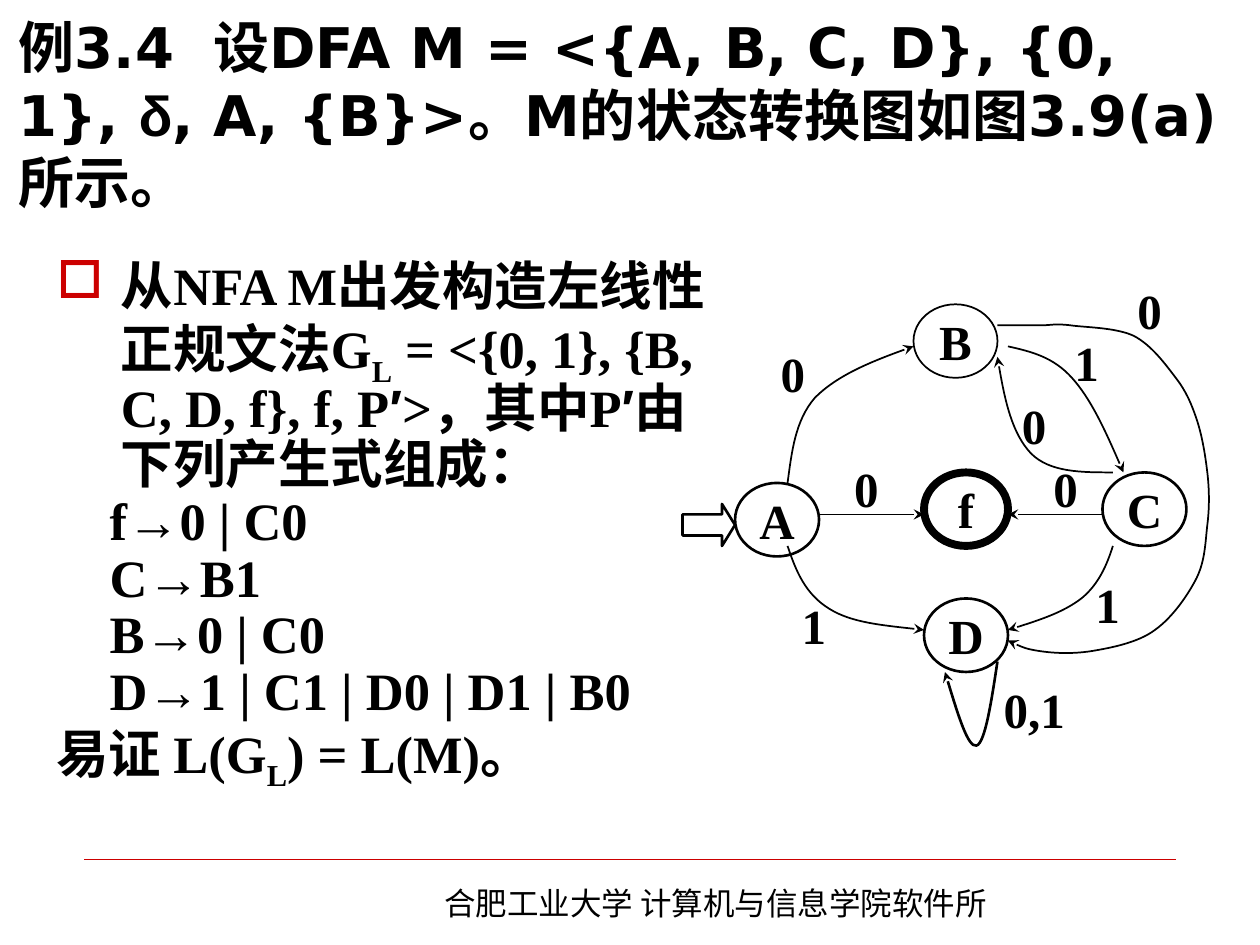
from dataclasses import dataclass

import lxml.etree
import pptx
import pptx.dml.color
import pptx.enum.shapes
import pptx.enum.text
import pptx.oxml
import pptx.oxml.ns
import pptx.util

Cm = pptx.util.Cm
Pt = pptx.util.Pt
qn = pptx.oxml.ns.qn
ShapeType = pptx.enum.shapes.MSO_SHAPE
Anchor = pptx.enum.text.MSO_ANCHOR


@dataclass(frozen=True)
class Theme:
    ink: str = "000000"
    accent: str = "CC0000"
    serif: str = "Times New Roman"
    sans: str = "DejaVu Sans"
    symbol: str = "Arial"
    chinese: str = "Noto Sans CJK SC"
    title_size: int = 32
    body_size: int = 30
    diagram_size: int = 28
    footer_size: int = 18


THEME = Theme()

STATES = [("A", 5, 20, 1.5), ("B", 22, 3, 1), ("C", 40, 19, 1.5),
          ("D", 23, 31, 1.5), ("f", 23, 19, 4.5)]

INPUT_LABELS = [("1", 33, 5), ("0", 5, 6), ("0,1", 28, 38),
                ("1", 7, 30), ("1", 35, 28), ("0", 28, 11),
                ("0", 39, 0), ("0", 12, 17), ("0", 31, 17)]

STRAIGHT_MOVES = [(13, 23), (40, 31)]

CURVED_MOVES = [
    (1.5, [(30, 37), (29.4, 41), (28.8, 44.8), (28, 45),
           (27.2, 45.2), (26.1, 41.6), (25, 38)]),
    (1, [(10, 20), (10.4, 17.1), (10.7, 14.1), (12.6, 11.9),
         (14.7, 9.8), (18.3, 8.3), (22, 7)]),
    (1, [(10, 26), (10.8, 28.4), (11.7, 30.6), (14, 32),
         (16.1, 33.3), (19.5, 33.6), (23, 34)]),
    (1, [(41, 19), (38, 19), (35, 19), (33.2, 17.2),
         (31.4, 15.3), (30.6, 11.7), (30, 8)]),
    (1, [(31, 7), (33.2, 7.5), (35.3, 8), (37.1, 10),
         (38.9, 12), (40.5, 15.5), (42, 19)]),
    (1, [(41, 26), (40.4, 27.9), (39.6, 29.7), (38, 31),
         (36.3, 32.3), (33.6, 33.2), (31, 34)]),
    (1, [(30, 5), (31.4, 5), (32.8, 5), (34, 5),
         (35.2, 5), (35.4, 4.8), (37, 5),
         (38.4, 5.2), (41.3, 5.2), (43, 6),
         (44.7, 6.9), (46, 8.7), (47, 10),
         (48, 11.3), (48.5, 12.5), (49, 14),
         (49.5, 15.5), (49.8, 17.3), (50, 19),
         (50.2, 20.7), (50.2, 22.4), (50, 24),
         (49.8, 25.7), (49.8, 27.3), (49, 29),
         (48.2, 30.6), (46.7, 32.8), (45, 34),
         (43.4, 35.2), (40.8, 35.7), (39, 36),
         (37.1, 36.3), (35.3, 36.2), (34, 36),
         (32.7, 35.8), (31.8, 35.4), (31, 35)]),
]


def rgb(value):
    return pptx.dml.color.RGBColor.from_string(value)


def add_run(paragraph, text, size, font, bold=True, baseline=0):
    run = paragraph.add_run()
    run.text = text
    run.font.size = Pt(size)
    run.font.name = font
    run.font.bold = bold
    run.font.color.rgb = rgb(THEME.ink)
    properties = run.font._element
    if baseline:
        properties.set("baseline", str(baseline * 1000))
    east_asian = lxml.etree.SubElement(properties, qn("a:ea"))
    east_asian.set("typeface", THEME.chinese)


def add_text_box(slide, box, anchor=Anchor.TOP):
    frame = slide.shapes.add_textbox(*box).text_frame
    frame.word_wrap = True
    frame.vertical_anchor = anchor
    return frame


def set_line(shape, width, color=THEME.ink, arrow=False):
    shape.line.color.rgb = rgb(color)
    shape.line.width = Pt(width)
    if arrow:
        tail = lxml.etree.SubElement(shape.line._get_or_add_ln(), qn("a:tailEnd"))
        tail.set("type", "stealth")


def add_line(slide, start, end, width, color=THEME.ink, arrow=False):
    connector = slide.shapes.add_connector(
        pptx.enum.shapes.MSO_CONNECTOR.STRAIGHT, *start, *end)
    set_line(connector, width, color, arrow)
    lxml.etree.SubElement(connector._element.spPr, qn("a:effectLst"))


def add_outline(slide, kind, box, width):
    shape = slide.shapes.add_shape(kind, *box)
    shape.shadow.inherit = False
    shape.fill.background()
    set_line(shape, width)
    return shape


def center_text(frame, text):
    frame.word_wrap = False
    frame.vertical_anchor = Anchor.MIDDLE
    paragraph = frame.paragraphs[0]
    paragraph.alignment = pptx.enum.text.PP_ALIGN.CENTER
    add_run(paragraph, text, THEME.diagram_size, THEME.serif)


def add_curve(slide, points, width):
    builder = slide.shapes.build_freeform(*points[0])
    builder.add_line_segments(points[1:], close=False)
    shape = builder.convert_to_shape()
    segments = list(shape._element.iter(qn("a:lnTo")))
    for first in range(0, len(segments), 3):
        trio = segments[first:first + 3]
        bezier = pptx.oxml.parse_xml(
            f"<a:cubicBezTo {pptx.oxml.ns.nsdecls('a')}/>")
        trio[0].addprevious(bezier)
        for segment in trio:
            bezier.append(segment[0])
            segment.getparent().remove(segment)
    shape.shadow.inherit = False
    shape.fill.background()
    set_line(shape, width, arrow=True)


def add_title(slide, box):
    paragraph = add_text_box(slide, box, Anchor.BOTTOM).paragraphs[0]
    for text, font in [
            ("例3.4  设DFA M = <{A, B, C, D}, {0, 1}, ", THEME.sans),
            ("δ", THEME.symbol),
            (", A, {B}>。M的状态转换图如图3.9(a)所示。", THEME.sans)]:
        add_run(paragraph, text, THEME.title_size, font)


def add_grammar(slide, box):
    frame = add_text_box(slide, box)
    serif, symbol = THEME.serif, THEME.symbol
    hanging, nested = (1.3, -1.3), (2.29, -1.22)
    productions = ["f→0 | C0", "C→B1", "B→0 | C0", "D→1 | C1 | D0 | D1 | B0"]
    paragraphs = [
        (hanging, [("从NFA M出发构造左线性正规文法G", serif, 0), ("L", serif, -25),
                   (" = <{0, 1}, {B, C, D, f}, f, P", serif, 0),
                   ("′", symbol, 0), (">，其中P", serif, 0),
                   ("′", symbol, 0), ("由下列产生式组成：", serif, 0)]),
        *[(nested, [(production, serif, 0)]) for production in productions],
        (hanging, [("易证 L(G", serif, 0), ("L", serif, -25),
                   (") = L(M)。", serif, 0)]),
    ]
    for index, ((margin, indent), runs) in enumerate(paragraphs):
        paragraph = frame.add_paragraph() if index else frame.paragraphs[0]
        properties = paragraph._p.get_or_add_pPr()
        properties.set("marL", str(Cm(margin)))
        properties.set("indent", str(Cm(indent)))
        if index == 0:
            color = lxml.etree.SubElement(properties, qn("a:buClr"))
            lxml.etree.SubElement(color, qn("a:srgbClr")).set("val", THEME.accent)
            lxml.etree.SubElement(properties, qn("a:buChar")).set("char", "□")
        paragraph.line_spacing = 0.9
        for text, font, baseline in runs:
            add_run(paragraph, text, THEME.body_size, font, baseline=baseline)


def add_state_diagram(slide, box):
    left, top, width, height = box
    column, row = width / 50, height / 45

    def at(x, y):
        return round(left + x * column), round(top + y * row)

    def cell(x, y, columns, rows):
        return *at(x, y), round(columns * column), round(rows * row)

    for name, x, y, weight in STATES:
        state = add_outline(slide, ShapeType.OVAL, cell(x, y, 8, 7), weight)
        center_text(state.text_frame, name)
    start = add_outline(slide, ShapeType.RIGHT_ARROW, cell(0, 22, 5, 4), 1.5)
    start.adjustments[1] = 0.31
    for begin, end in STRAIGHT_MOVES:
        add_line(slide, at(begin, 23), at(end, 23), 1, arrow=True)
    for weight, points in CURVED_MOVES:
        add_curve(slide, [at(x, y) for x, y in points], weight)
    for text, x, y in INPUT_LABELS:
        center_text(add_text_box(slide, cell(x, y, 11, 7)), text)


def add_footer(slide, box):
    left, top, width, height = box
    add_line(slide, (left, top), (left + width, top), 0.25, THEME.accent)
    frame = add_text_box(
        slide, (left + Cm(7.01), top + Cm(0.38), Cm(11.99), height - Cm(0.38)))
    add_run(frame.paragraphs[0], "合肥工业大学 计算机与信息学院软件所",
            THEME.footer_size, THEME.chinese, bold=False)


def main():
    presentation = pptx.Presentation()
    presentation.slide_width, presentation.slide_height = Cm(25.4), Cm(19.05)
    slide = presentation.slides.add_slide(presentation.slide_layouts[6])
    add_footer(slide, (Cm(1.7), Cm(17.32), Cm(22), Cm(1.4)))
    add_grammar(slide, (Cm(0.89), Cm(5.13), Cm(14), Cm(12.07)))
    add_title(slide, (Cm(0.13), Cm(1.27), Cm(24.77), Cm(3.18)))
    add_state_diagram(slide, (Cm(13.76), Cm(5.5), Cm(10.58), Cm(9.53)))
    presentation.save("out.pptx")


if __name__ == "__main__":
    main()
